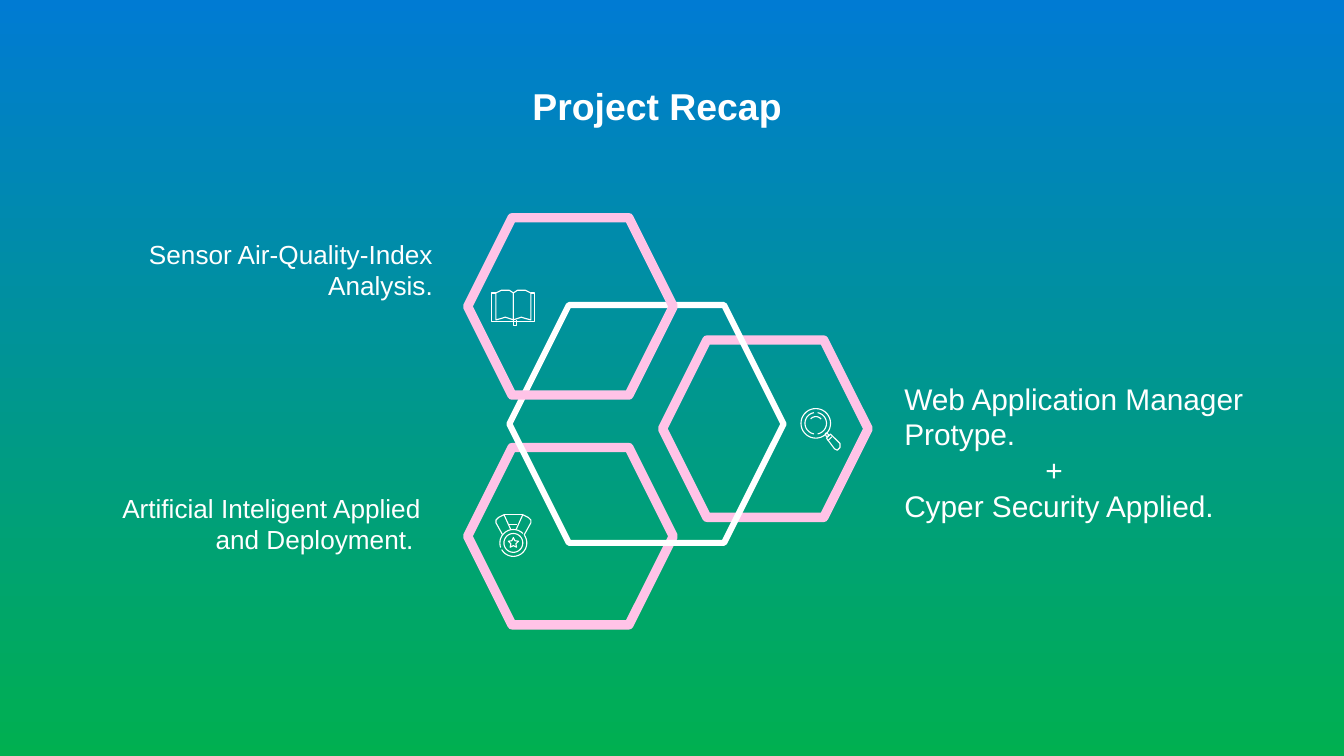
import math
from dataclasses import dataclass

from lxml import etree
from pptx import Presentation
from pptx import util as u
from pptx.dml.color import RGBColor
from pptx.enum import shapes, text
from pptx.oxml.ns import qn

Point = tuple[float, float]


@dataclass(frozen=True)
class Theme:
    sky: RGBColor = RGBColor(0x00, 0x7B, 0xD3)
    grass: RGBColor = RGBColor(0x00, 0xB0, 0x50)
    pink: RGBColor = RGBColor(0xFF, 0xC3, 0xE7)
    white: RGBColor = RGBColor(0xFF, 0xFF, 0xFF)
    font: str = "Arial"
    title_size: int = 20
    large_size: int = 16
    body_size: int = 14
    icon_line: float = 0.6


@dataclass(frozen=True)
class Hexagon:
    left: float
    top: float
    width: float
    height: float
    color: RGBColor
    line: float


@dataclass(frozen=True)
class Stroke:
    points: list[Point]
    closed: bool = False


THEME = Theme()
ALIGN = text.PP_ALIGN


def style_outline(shape, color: RGBColor, width: float) -> None:
    shape.shadow.inherit = False
    shape.fill.background()
    shape.line.color.rgb = color
    shape.line.width = u.Pt(width)
    etree.SubElement(shape.line._get_or_add_ln(), qn("a:round"))


def draw_hexagon(page, item: Hexagon) -> None:
    shape = page.shapes.add_shape(
        shapes.MSO_SHAPE.HEXAGON, u.Inches(item.left), u.Inches(item.top),
        u.Inches(item.width), u.Inches(item.height))
    style_outline(shape, item.color, item.line)


def add_text(page, lines: list[str], left: float, top: float, width: float, height: float, *,
             size: int, align=ALIGN.LEFT, bold: bool = False, right_inset: float = 0.1,
             indents: dict[int, float] | None = None) -> None:
    """Add a top-anchored box; indents maps a line's index to its left margin."""
    box = page.shapes.add_textbox(*map(u.Inches, (left, top, width, height)))
    frame = box.text_frame
    frame.word_wrap = True
    frame.vertical_anchor = text.MSO_ANCHOR.TOP
    frame.margin_left = frame.margin_top = frame.margin_bottom = u.Inches(0.1)
    frame.margin_right = u.Inches(right_inset)
    for index, line in enumerate(lines):
        para = frame.paragraphs[0] if index == 0 else frame.add_paragraph()
        para.alignment = align
        para.line_spacing = 1.0
        if indents and index in indents:
            para._p.get_or_add_pPr().set("marL", str(u.Inches(indents[index])))
        span = para.add_run()
        span.text = line
        span.font.name = THEME.font
        span.font.size = u.Pt(size)
        span.font.bold = bold
        span.font.color.rgb = THEME.white


def arc(center: Point, radius: float, start: float = 0, end: float = 360) -> Stroke:
    """Sample an arc clockwise, in degrees from the right-hand side."""
    steps = 36
    angles = [math.radians(start + (end - start) * i / steps) for i in range(steps + 1)]
    return Stroke([(center[0] + radius * math.cos(a), center[1] + radius * math.sin(a))
                   for a in angles])


def mirror(stroke: Stroke, axis: float) -> Stroke:
    return Stroke([(2 * axis - x, y) for x, y in stroke.points], stroke.closed)


def draw_icon(page, strokes: list[Stroke]) -> None:
    group = page.shapes.add_group_shape()
    for stroke in strokes:
        points = [(u.Inches(x), u.Inches(y)) for x, y in stroke.points]
        builder = group.shapes.build_freeform(*points[0])
        builder.add_line_segments(points[1:], close=stroke.closed)
        style_outline(builder.convert_to_shape(), THEME.white, THEME.icon_line)


def magnifier() -> list[Stroke]:
    lens = (6.07, 3.15)
    return [
        arc(lens, 0.11),
        arc(lens, 0.08, -80, 80),
        arc(lens, 0.08, 100, 260),
        arc(lens, 0.05, 220, 320),
        Stroke([(6.14, 3.23), (6.15, 3.22), (6.17, 3.24), (6.15, 3.25)], True),
        Stroke([(6.15, 3.26), (6.18, 3.23), (6.25, 3.3), (6.25, 3.33),
                (6.23, 3.35), (6.21, 3.34)], True),
        Stroke([(6.16, 3.28), (6.19, 3.25)]),
    ]


def medal() -> list[Stroke]:
    x, y = center = (3.82, 4.04)
    star = []
    for i in range(10):
        radius = 0.02 if i % 2 else 0.04
        angle = math.radians(36 * i - 90)
        star.append((x + radius * math.cos(angle), y + radius * math.sin(angle)))
    ribbon = Stroke([(3.74, 3.98), (3.69, 3.89), (3.69, 3.87), (3.71, 3.85),
                     (3.75, 3.83), (3.8, 3.94)])
    return [
        arc(center, 0.1, -35, 150),
        arc(center, 0.1, 160, 315),
        arc(center, 0.07),
        Stroke(star, True),
        ribbon,
        mirror(ribbon, x),
        Stroke([(3.75, 3.83), (3.89, 3.83)]),
        Stroke([(3.79, 3.9), (3.85, 3.9)]),
    ]


def book() -> list[Stroke]:
    spine = 3.82
    leaf = Stroke([(3.69, 2.18), (3.73, 2.16), (3.76, 2.16), (3.79, 2.16), (spine, 2.18),
                   (spine, 2.38), (3.79, 2.37), (3.76, 2.36), (3.73, 2.37), (3.69, 2.38)], True)
    return [
        leaf,
        mirror(leaf, spine),
        Stroke([(3.69, 2.18), (3.66, 2.18), (3.66, 2.39), (3.98, 2.39), (3.98, 2.18), (3.95, 2.18)]),
        Stroke([(spine, 2.38), (spine, 2.42), (3.84, 2.42), (3.84, 2.38)]),
    ]


def paint_background(page) -> None:
    fill = page.background.fill
    fill.gradient()
    fill.gradient_angle = 270
    for stop, color in zip(fill.gradient_stops, (THEME.sky, THEME.grass)):
        stop.color.rgb = color


def main() -> None:
    deck = Presentation()
    deck.slide_width = u.Inches(10)
    deck.slide_height = u.Inches(10 * 9 / 16)
    page = deck.slides.add_slide(deck.slide_layouts[6])
    paint_background(page)

    add_text(page, ["Project Recap"], 0.39, 0.52, 9.21, 0.86, size=THEME.title_size,
             align=ALIGN.CENTER, bold=True, right_inset=0.31)
    for item in (
        Hexagon(3.48, 3.33, 1.53, 1.32, THEME.pink, 5),
        Hexagon(4.93, 2.53, 1.53, 1.32, THEME.pink, 5),
        Hexagon(3.79, 2.27, 2.04, 1.77, THEME.white, 3.25),
        Hexagon(3.48, 1.62, 1.53, 1.32, THEME.pink, 5),
    ):
        draw_hexagon(page, item)

    add_text(page, ["Sensor Air-Quality-Index Analysis."], 0.81, 1.67, 2.51, 1.22,
             size=THEME.body_size, align=ALIGN.RIGHT)
    add_text(page, ["Artificial Inteligent Applied and Deployment. "], 0.72, 3.56, 2.51, 1.22,
             size=THEME.body_size, align=ALIGN.RIGHT)
    add_text(page, ["Web Application Manager Protype.", "+", "Cyper Security Applied."],
             6.63, 2.73, 2.89, 1.42, size=THEME.large_size, indents={1: 1.05})

    for icon in (magnifier(), medal(), book()):
        draw_icon(page, icon)
    deck.save("out.pptx")


if __name__ == "__main__":
    main()
